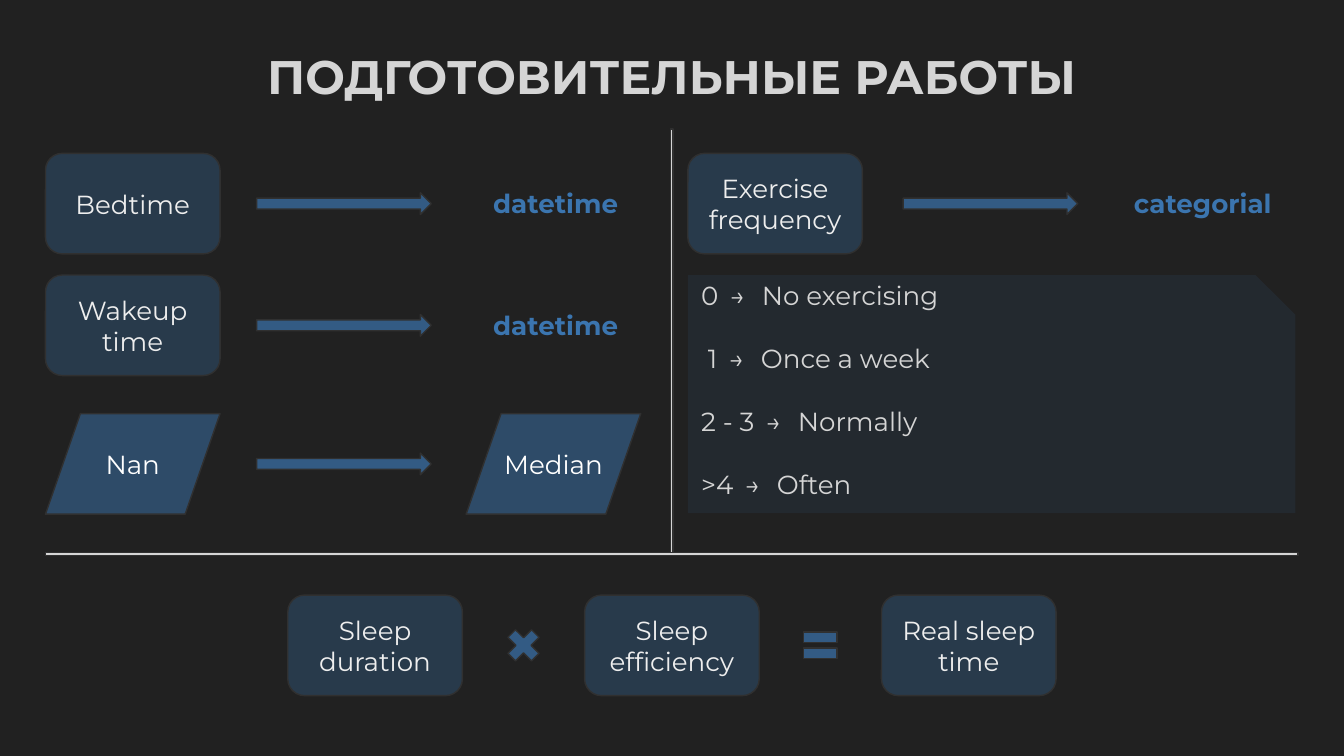
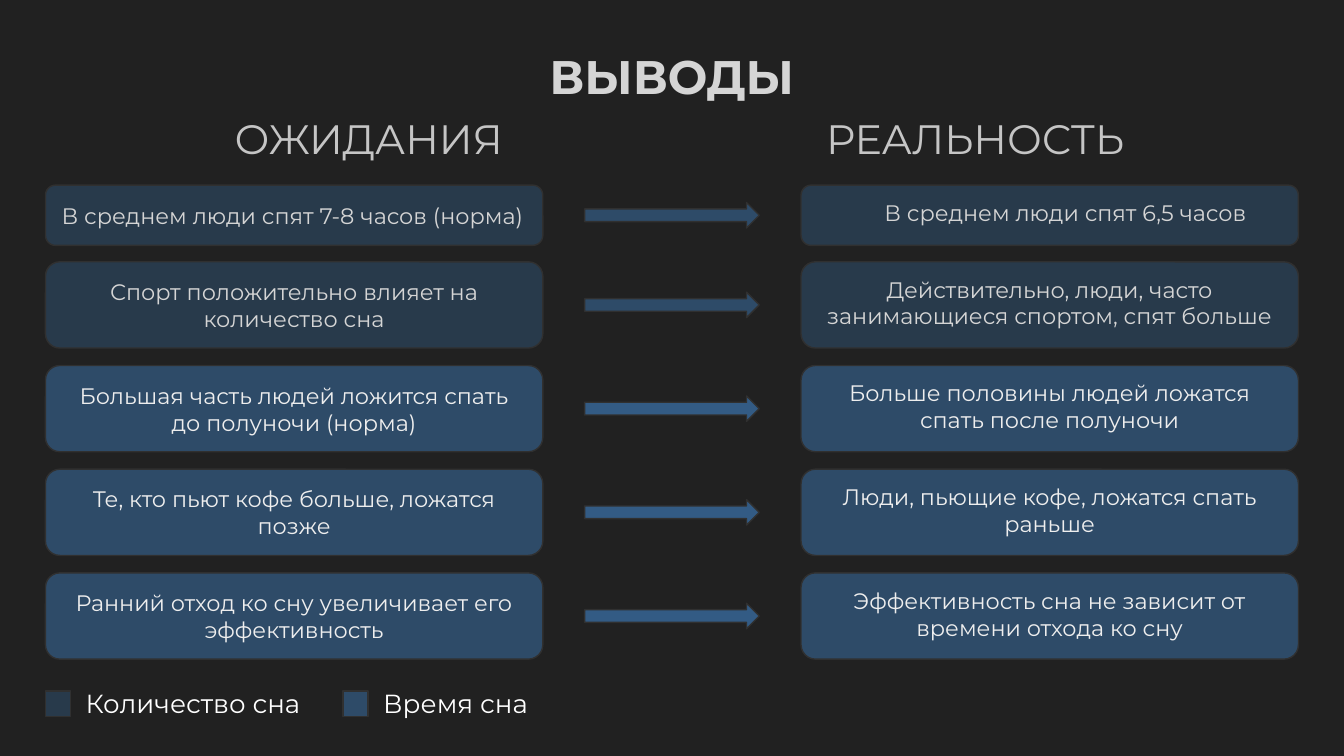
from dataclasses import dataclass
from typing import Any

import lxml.etree
import pptx
import pptx.dml.color
import pptx.enum.shapes
import pptx.enum.text
import pptx.oxml.ns
import pptx.util

Cm = pptx.util.Cm
Pt = pptx.util.Pt
SHAPE = pptx.enum.shapes.MSO_SHAPE
ALIGN = pptx.enum.text.PP_ALIGN
ANCHOR = pptx.enum.text.MSO_ANCHOR
qn = pptx.oxml.ns.qn

FONT = "Montserrat"
COLORS = {
    "background": "212121",
    "accent": "3B75AF",
    "outline": "303030",
    "soft": "D5D5D5",
    "heading": "C5C5C5",
    "bright": "EEEEEE",
    "white": "FFFFFF",
}

# Shared measures, in centimetres
MARGIN, CONTENT_WIDTH = 0.86, 23.67
BOX_WIDTH, BOX_HEIGHT = 3.3, 1.9
INSET = 0.25


@dataclass(frozen=True)
class Area:
    left: float
    top: float
    width: float
    height: float


@dataclass(frozen=True)
class TextStyle:
    size: float
    color: str
    bold: bool = False
    align: Any = ALIGN.CENTER
    anchor: Any = ANCHOR.MIDDLE


@dataclass(frozen=True)
class Conversion:
    """A field, an arrow and the type or value it turns into."""
    source: str
    target: str
    left: float
    top: float
    arrow_left: float
    target_left: float
    shape: Any = SHAPE.ROUNDED_RECTANGLE


@dataclass(frozen=True)
class Finding:
    expectation: str
    reality: str
    top: float
    height: float
    about_time: bool
    align: Any = ALIGN.CENTER
    reality_indent: float = 0


TITLE = TextStyle(25.2, "soft", bold=True, anchor=ANCHOR.TOP)
HEADING = TextStyle(22, "heading", anchor=ANCHOR.TOP)
BOX = TextStyle(14, "bright")
VALUE = TextStyle(14, "white")
TYPE = TextStyle(14, "accent", bold=True, align=ALIGN.LEFT, anchor=ANCHOR.TOP)
LEGEND = TextStyle(14, "white", align=ALIGN.LEFT, anchor=ANCHOR.TOP)
LIST = TextStyle(14, "soft", align=ALIGN.LEFT, anchor=ANCHOR.BOTTOM)


# ---- Drawing helpers ----
def rgb(name: str) -> pptx.dml.color.RGBColor:
    return pptx.dml.color.RGBColor.from_string(COLORS[name])


def format_text(shape: Any, style: TextStyle) -> None:
    frame = shape.text_frame
    frame.word_wrap = True
    frame.auto_size = pptx.enum.text.MSO_AUTO_SIZE.NONE
    frame.vertical_anchor = style.anchor
    frame.margin_left = frame.margin_right = Cm(INSET)
    frame.margin_top = frame.margin_bottom = Cm(INSET)
    for paragraph in frame.paragraphs:
        paragraph.alignment = style.align
        paragraph.line_spacing = 1.0
        paragraph.space_before = Pt(0)
        for run in paragraph.runs:
            run.font.name = FONT
            run.font.size = Pt(style.size)
            run.font.bold = style.bold
            run.font.color.rgb = rgb(style.color)


def place(shape: Any, area: Area) -> None:
    shape.left, shape.top = Cm(area.left), Cm(area.top)
    shape.width, shape.height = Cm(area.width), Cm(area.height)


def remove_bullet(paragraph: Any) -> None:
    properties = paragraph._p.get_or_add_pPr()
    properties.set("marL", "0")
    properties.set("indent", "0")
    lxml.etree.SubElement(properties, qn("a:buNone"))


def fill_placeholder(shape: Any, area: Area, text: str, style: TextStyle) -> None:
    place(shape, area)
    shape.text_frame.text = text
    format_text(shape, style)


def add_figure(shapes: Any, kind: Any, area: Area, opacity: int = 100,
               color: str = "accent", outlined: bool = True) -> Any:
    shape = shapes.add_shape(kind, Cm(area.left), Cm(area.top),
                             Cm(area.width), Cm(area.height))
    shape.shadow.inherit = False
    shape.fill.solid()
    shape.fill.fore_color.rgb = rgb(color)
    if opacity < 100:
        fill_color = shape._element.spPr.find(f".//{qn('a:srgbClr')}")
        lxml.etree.SubElement(fill_color, qn("a:alpha"), val=str(opacity * 1000))
    if outlined:
        shape.line.color.rgb = rgb("outline")
        shape.line.width = Pt(0.75)
    else:
        shape.line.fill.background()
    return shape


def add_box(shapes: Any, area: Area, text: str, style: TextStyle,
            opacity: int = 30, kind: Any = SHAPE.ROUNDED_RECTANGLE) -> Any:
    shape = add_figure(shapes, kind, area, opacity)
    shape.text_frame.text = text
    format_text(shape, style)
    return shape


def add_label(shapes: Any, area: Area, text: str, style: TextStyle) -> None:
    label = shapes.add_textbox(Cm(area.left), Cm(area.top),
                               Cm(area.width), Cm(area.height))
    label.text_frame.text = text
    format_text(label, style)


def add_slide(presentation: Any, layout: int, title: str) -> Any:
    slide = presentation.slides.add_slide(presentation.slide_layouts[layout])
    fill_placeholder(slide.shapes.title, Area(MARGIN, 0.64, CONTENT_WIDTH, 1.6),
                     title, TITLE)
    return slide


# ---- Slide 1: preparation ----
FIELD_TOP, SECOND_TOP, NAN_TOP, FORMULA_TOP = 2.9, 5.2, 7.82, 11.25
RIGHT_LEFT = 13.0
CONVERSIONS = [
    Conversion("Bedtime", "datetime", MARGIN, FIELD_TOP, 4.85, 9.07),
    Conversion("Wakeup time", "datetime", MARGIN, SECOND_TOP, 4.85, 9.07),
    Conversion("Nan", "Median", MARGIN, NAN_TOP, 4.85, 8.81, SHAPE.FLOWCHART_DATA),
    Conversion("Exercise frequency", "categorial", RIGHT_LEFT, FIELD_TOP, 17.07, 21.18),
]
FORMULA = ["Sleep duration", "Sleep efficiency", "Real sleep time"]
OPERATORS = [SHAPE.MATH_MULTIPLY, SHAPE.MATH_EQUAL]
FREQUENCIES = [("0", "No exercising"), (" 1", "Once a week"),
               ("2 - 3", "Normally"), (">4", "Often")]


def add_conversion(shapes: Any, item: Conversion) -> None:
    is_value = item.shape == SHAPE.FLOWCHART_DATA
    arrow_height, label_height = 0.41, 1.12
    add_box(shapes, Area(item.left, item.top, BOX_WIDTH, BOX_HEIGHT), item.source,
            VALUE if is_value else BOX, 50 if is_value else 30, item.shape)
    add_figure(shapes, SHAPE.RIGHT_ARROW,
               Area(item.arrow_left, item.top + (BOX_HEIGHT - arrow_height) / 2,
                    BOX_WIDTH, arrow_height), 70)
    label_top = item.top + (BOX_HEIGHT - label_height) / 2
    if is_value:
        add_figure(shapes, item.shape,
                   Area(item.target_left, item.top, BOX_WIDTH, BOX_HEIGHT), 50)
        # The label is wider than the slanted shape's own text area
        add_label(shapes, Area(item.target_left - INSET, label_top,
                               BOX_WIDTH + 2 * INSET, label_height), item.target, VALUE)
    else:
        add_label(shapes, Area(item.target_left, label_top, BOX_WIDTH, label_height),
                  item.target, TYPE)


def add_frequency_list(slide: Any) -> None:
    area = Area(RIGHT_LEFT, SECOND_TOP, 11.48, 4.5)
    add_figure(slide.shapes, SHAPE.SNIP_1_RECTANGLE, area, 10, outlined=False)
    body = slide.placeholders[1]
    place(body, area)
    frame = body.text_frame
    for index, (key, meaning) in enumerate(FREQUENCIES):
        paragraph = frame.paragraphs[0] if index == 0 else frame.add_paragraph()
        for part in (key, " → ", meaning):
            paragraph.add_run().text = part
    format_text(body, LIST)
    for index, paragraph in enumerate(frame.paragraphs):
        paragraph.space_before = Pt(17 if index else 0)
        remove_bullet(paragraph)
        # Wider letter spacing sets the arrow apart
        paragraph.runs[1].font._element.set("spc", "250")
    slide.shapes._spTree.append(body._element)


def build_preparation(presentation: Any) -> None:
    slide = add_slide(presentation, 1, "ПОДГОТОВИТЕЛЬНЫЕ РАБОТЫ")
    for item in CONVERSIONS:
        add_conversion(slide.shapes, item)

    # Formula row, with the operators centred in the gaps
    first_left, pitch, operator_size = 5.44, 5.61, 0.86
    for index, text in enumerate(FORMULA):
        add_box(slide.shapes, Area(first_left + index * pitch, FORMULA_TOP,
                                   BOX_WIDTH, BOX_HEIGHT), text, BOX)
    for index, kind in enumerate(OPERATORS):
        left = first_left + index * pitch + (BOX_WIDTH + pitch - operator_size) / 2
        top = FORMULA_TOP + (BOX_HEIGHT - operator_size) / 2
        add_figure(slide.shapes, kind, Area(left, top, operator_size, operator_size), 70)

    # Dividers
    for area in (Area(12.67, 2.44, 0.05, 8.05),
                 Area(MARGIN, 10.45, CONTENT_WIDTH, 0.05)):
        add_figure(slide.shapes, SHAPE.RECTANGLE, area, color="soft")
    add_frequency_list(slide)


# ---- Slide 2: conclusions ----
ROW_TOP, ROW_PITCH, ROW_HEIGHT = 4.95, 1.96, 1.63
FINDINGS = [
    Finding("В среднем люди спят 7-8 часов (норма)", "В среднем люди спят 6,5 часов",
            3.5, 1.14, False, ALIGN.LEFT, 1.27),
] + [
    Finding(expectation, reality, ROW_TOP + index * ROW_PITCH, ROW_HEIGHT, index > 0)
    for index, (expectation, reality) in enumerate([
        ("Спорт положительно влияет на количество сна",
         "Действительно, люди, часто занимающиеся спортом, спят больше"),
        ("Большая часть людей ложится спать до полуночи (норма)",
         "Больше половины людей ложатся спать после полуночи"),
        ("Те, кто пьют кофе больше, ложатся позже",
         "Люди, пьющие кофе, ложатся спать раньше"),
        ("Ранний отход ко сну увеличивает его эффективность",
         "Эффективность сна не зависит от времени отхода ко сну"),
    ])
]


def add_finding(slide: Any, finding: Finding) -> None:
    shapes = slide.shapes.add_group_shape().shapes
    opacity = 50 if finding.about_time else 30
    style = TextStyle(12, "bright" if finding.about_time else "soft", align=finding.align)
    width, arrow_height = 9.4, 0.48
    add_box(shapes, Area(MARGIN, finding.top, width, finding.height),
            finding.expectation, style, opacity)
    add_figure(shapes, SHAPE.RIGHT_ARROW,
               Area(11.05, finding.top + (finding.height - arrow_height) / 2,
                    BOX_WIDTH, arrow_height), opacity + 20)
    reality = add_box(shapes, Area(15.14, finding.top, width, finding.height),
                      finding.reality, style, opacity)
    reality.text_frame.margin_bottom = Cm(INSET + 0.09)
    if finding.reality_indent:
        properties = reality.text_frame.paragraphs[0]._p.get_or_add_pPr()
        properties.set("marL", "0")
        properties.set("indent", str(Cm(finding.reality_indent)))


def build_conclusions(presentation: Any) -> None:
    slide = add_slide(presentation, 4, "ВЫВОДЫ")
    for index, left, text in ((1, 1.24, "ОЖИДАНИЯ"), (3, 12.7, "РЕАЛЬНОСТЬ")):
        heading = slide.placeholders[index]
        fill_placeholder(heading, Area(left, 1.9, 11.46, 1.6), text, HEADING)
        remove_bullet(heading.text_frame.paragraphs[0])
    for index in (2, 4):
        unused = slide.placeholders[index]._element
        unused.getparent().remove(unused)

    # Legend
    for left, width, text, opacity in ((MARGIN, 4.72, "Количество сна", 30),
                                       (6.48, 3.3, "Время сна", 50)):
        add_figure(slide.shapes, SHAPE.RECTANGLE, Area(left, 13.06, 0.48, 0.48), opacity)
        add_label(slide.shapes, Area(left + 0.51, 12.75, width, 1.12), text, LEGEND)

    for finding in FINDINGS:
        add_finding(slide, finding)


def main() -> None:
    presentation = pptx.Presentation()
    presentation.slide_width, presentation.slide_height = Cm(25.4), Cm(14.29)
    background = presentation.slide_master.background.fill
    background.solid()
    background.fore_color.rgb = rgb("background")
    build_preparation(presentation)
    build_conclusions(presentation)
    presentation.save("out.pptx")


if __name__ == "__main__":
    main()
